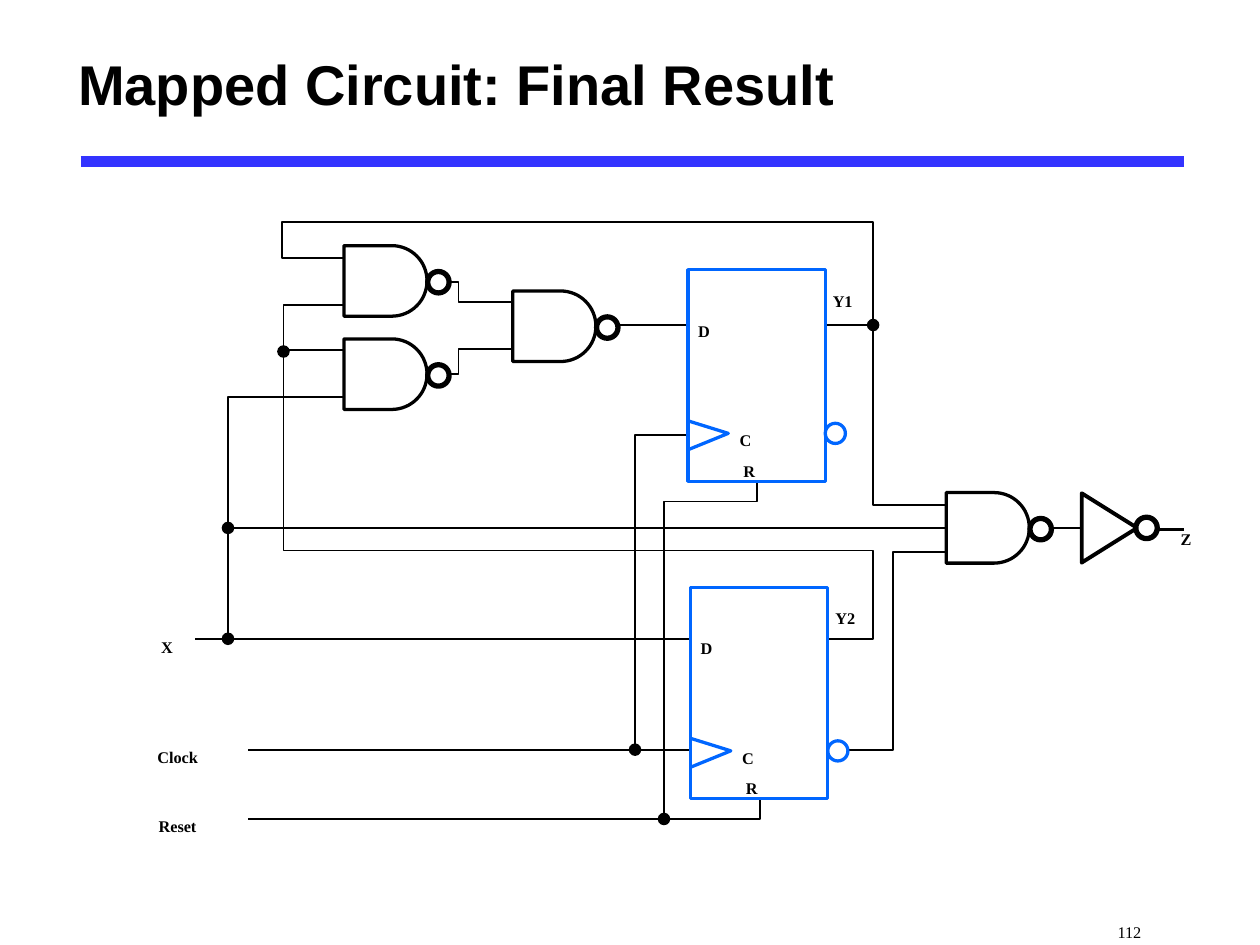
"""Build the slide showing the mapped sequential circuit with NAND gates and D flip-flops."""
import math

from lxml import etree
from pptx import Presentation
from pptx import util as u
from pptx.dml.color import RGBColor
from pptx.enum import shapes as s, text as t
from pptx.oxml.ns import qn

TITLE = "Mapped Circuit: Final Result"
PAGE = "112"

WIRES = [
    [(3.07, 2.05), (2.24, 2.05), (2.24, 1.76), (6.93, 1.76), (6.93, 4.01), (7.8, 4.01)],
    [(3.07, 2.42), (2.25, 2.42), (2.25, 4.37), (6.93, 4.37), (6.93, 5.07), (1.55, 5.07)],
    [(7.69, 4.38), (7.09, 4.38), (7.09, 5.95), (1.97, 5.95)],
    [(6.03, 5.68), (6.03, 6.5), (1.97, 6.5)],
    [(2.89, 3.15), (1.81, 3.15), (1.81, 5.07)],
    [(1.81, 4.19), (8.58, 4.19)],
    [(2.24, 2.78), (2.92, 2.78)],
    [(2.91, 2.24), (3.64, 2.24), (3.64, 2.4), (4.08, 2.4)],
    [(2.91, 2.97), (3.64, 2.97), (3.64, 2.77), (4.08, 2.77)],
    [(6.93, 2.58), (4.18, 2.58)],
    [(6.07, 3.45), (5.04, 3.45), (5.04, 5.95)],
    [(5.27, 6.5), (5.27, 3.98), (6.01, 3.98), (6.01, 3.53)],
]
JUNCTIONS = [(2.25, 2.79), (1.81, 4.19), (1.81, 5.07), (5.04, 5.95), (6.93, 2.58), (5.27, 6.5)]
NAND_GATES = [(7.51, 3.91), (2.73, 2.69), (2.73, 1.95), (4.07, 2.31)]
FLIP_FLOPS = [(5.46, 2.14, "1"), (5.48, 4.66, "2")]
PINS = [("D", 0.08, 0.26), ("C", 0.41, 1.13), ("R", 0.44, 1.37)]
SIGNALS = [("X", 1.28, 4.91, 0.17), ("Clock", 1.25, 5.78, 0.57),
           ("Reset", 1.26, 6.33, 0.56), ("Z", 9.37, 4.05, 0.17)]

THEME = {
    "ink": RGBColor(0, 0, 0),
    "paper": RGBColor(255, 255, 255),
    "block": RGBColor(0x00, 0x66, 0xFF),
    "rule": RGBColor(0x33, 0x33, 0xFF),
    "title": {"name": "Arial", "size": u.Pt(32), "bold": True},
    "label": {"name": "Times New Roman", "size": u.Pt(16), "bold": True},
    "page": {"name": "Times New Roman", "size": u.Pt(16), "bold": False},
    "wire": 1, "outline": 1.88, "inverter": 2.25, "bubble": 3, "output": 1.5, "bar": 6,
}
CM_PER_INCH = 2.54


def cm(inches):
    return u.Cm(inches * CM_PER_INCH)


def assign(target, values):
    for name, value in values.items():
        setattr(target, name, value)


def paint(shape, fill=None, line=None, width=None):
    shape.shadow.inherit = False
    if fill is None:
        shape.fill.background()
    else:
        shape.fill.solid()
        shape.fill.fore_color.rgb = fill
    if line is None:
        shape.line.fill.background()
    else:
        shape.line.color.rgb = line
        shape.line.width = u.Pt(width)


def preset(slide, kind, box, **look):
    shape = slide.shapes.add_shape(kind, *map(cm, box))
    paint(shape, **look)
    return shape


def circle(slide, center, diameter, **look):
    x, y = center
    box = (x - diameter / 2, y - diameter / 2, diameter, diameter)
    return preset(slide, s.MSO_SHAPE.OVAL, box, **look)


def outline(slide, points, close=False, **look):
    start, *rest = [(cm(x), cm(y)) for x, y in points]
    builder = slide.shapes.build_freeform(*start, scale=1.0)
    builder.add_line_segments(rest, close=close)
    paint(builder.convert_to_shape(), **look)


def straight(slide, start, end, color, width):
    line = slide.shapes.add_connector(s.MSO_CONNECTOR.STRAIGHT, *map(cm, start + end))
    line.line.color.rgb = color
    line.line.width = u.Pt(width)
    etree.SubElement(line._element.spPr, qn("a:effectLst"))


def label(slide, runs, x, y, width, height=0.27, style="label", margins=(0, 0)):
    frame = slide.shapes.add_textbox(*map(cm, (x, y, width, height))).text_frame
    left, top = margins
    assign(frame, {"word_wrap": True, "margin_left": cm(left), "margin_top": cm(top),
                   "margin_right": 0, "margin_bottom": 0})
    for words in runs:
        run = frame.paragraphs[0].add_run()
        run.text = words
        assign(run.font, THEME[style])
        run.font.color.rgb = THEME["ink"]
        run.font._element.set("baseline", "-25000")


def draw_wire(slide, points):
    if len(points) == 2:
        straight(slide, *points, THEME["ink"], THEME["wire"])
    else:
        outline(slide, points, line=THEME["ink"], width=THEME["wire"])


def draw_flip_flop(slide, x, y, index):
    blue = {"line": THEME["block"], "width": THEME["outline"]}
    preset(slide, s.MSO_SHAPE.RECTANGLE, (x, y, 1.09, 1.68), fill=THEME["paper"], **blue)
    circle(slide, (x + 1.17, y + 1.3), 0.16, fill=THEME["paper"], **blue)
    outline(slide, [(x, y + 1.2), (x + 0.32, y + 1.3), (x, y + 1.43)], **blue)
    for pin, dx, dy in PINS:
        label(slide, [pin], x + dx, y + dy, 0.19)
    label(slide, ["Y", index], x + 1.15, y + 0.02, 0.25)


def draw_bubble(slide, center):
    circle(slide, center, 0.17, fill=THEME["paper"], line=THEME["ink"], width=THEME["bubble"])


def draw_nand(slide, x, y, steps=32):
    radius, flat = 0.28, 0.38
    angles = [math.pi * (0.5 - i / steps) for i in range(steps + 1)]
    arc = [(x + flat + radius * math.cos(a), y + radius + radius * math.sin(a)) for a in angles]
    outline(slide, [(x, y), (x, y + 2 * radius), *arc], close=True,
            fill=THEME["paper"], line=THEME["ink"], width=THEME["outline"])
    draw_bubble(slide, (x + 0.75, y + 0.29))


def draw_inverter(slide):
    triangle = preset(slide, s.MSO_SHAPE.ISOSCELES_TRIANGLE, (8.53, 3.97, 0.55, 0.44),
                      line=THEME["ink"], width=THEME["inverter"])
    triangle.rotation = 90
    draw_bubble(slide, (9.1, 4.19))
    straight(slide, (9.18, 4.2), (9.4, 4.2), THEME["ink"], THEME["output"])


def draw_title(slide):
    title = slide.shapes.title
    assign(title, dict(zip(("left", "top", "width", "height"), map(cm, (0.52, 0.1, 8.5, 1.12)))))
    title.text_frame.text = TITLE
    title.text_frame.vertical_anchor = t.MSO_ANCHOR.MIDDLE
    heading = title.text_frame.paragraphs[0]
    heading.alignment = t.PP_ALIGN.LEFT
    assign(heading.font, THEME["title"])
    heading.font.color.rgb = THEME["ink"]
    straight(slide, (0.64, 1.28), (9.4, 1.28), THEME["rule"], THEME["bar"])


def main():
    deck = Presentation()
    assign(deck, {"slide_width": cm(10), "slide_height": cm(7.5)})
    slide = deck.slides.add_slide(deck.slide_layouts[5])
    draw_title(slide)
    label(slide, [PAGE], 7.9, 7.12, 2.1, 0.38, style="page", margins=(0.97, 0.05))
    for points in WIRES:
        draw_wire(slide, points)
    for flip_flop in FLIP_FLOPS:
        draw_flip_flop(slide, *flip_flop)
    for gate in NAND_GATES:
        draw_nand(slide, *gate)
    for junction in JUNCTIONS:
        circle(slide, junction, 0.1, fill=THEME["ink"])
    for name, x, y, width in SIGNALS:
        label(slide, [name], x, y, width)
    draw_inverter(slide)
    deck.save("out.pptx")


if __name__ == "__main__":
    main()
